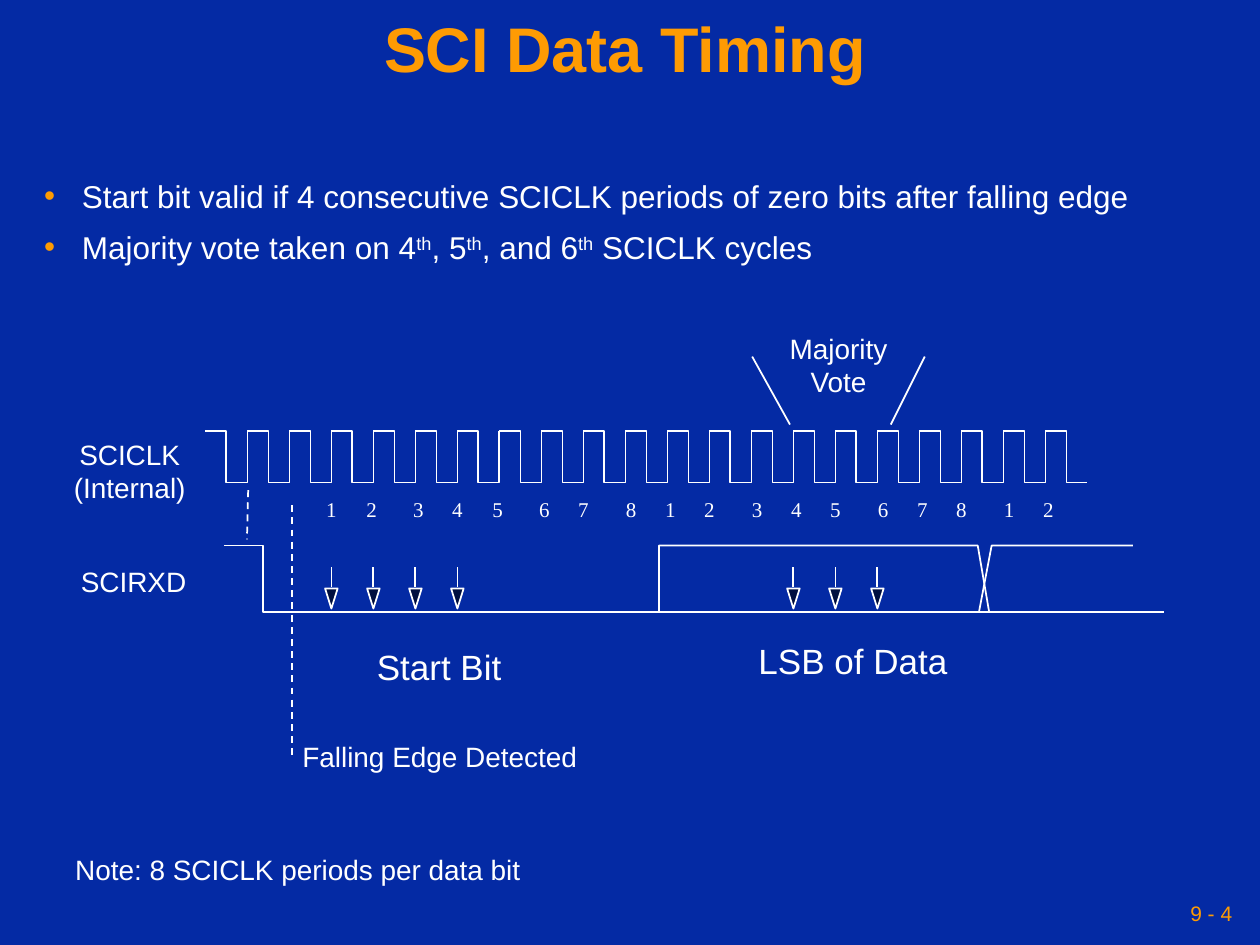
from dataclasses import dataclass

from lxml.etree import SubElement
from pptx import Presentation
from pptx.dml.color import RGBColor as RGB
from pptx.enum.dml import MSO_LINE_DASH_STYLE as Dash
from pptx.enum.shapes import MSO_CONNECTOR as Connector, MSO_SHAPE as Preset
from pptx.enum.text import MSO_ANCHOR as Anchor, MSO_AUTO_SIZE as AutoSize, PP_ALIGN as Align
from pptx.oxml.ns import qn
from pptx.util import Inches, Pt


@dataclass(frozen=True)
class Theme:
    background: RGB = RGB(0x04, 0x2A, 0xA4)
    accent: RGB = RGB(0xFE, 0x9B, 0x03)
    ink: RGB = RGB(0xFF, 0xFF, 0xFF)
    arrowhead: RGB = RGB(0x00, 0x0F, 0x40)
    font: str = "Arial"
    tick_font: str = "Times New Roman"
    title: Pt = Pt(36)
    caption: Pt = Pt(20)
    body: Pt = Pt(18)
    label: Pt = Pt(16)
    small: Pt = Pt(12)
    stroke: Pt = Pt(1)


theme = Theme()
presentation = Presentation()
presentation.slide_width, presentation.slide_height = Inches(10), Inches(7.5)
COLUMN = presentation.slide_width / 100
ROW = presentation.slide_height / 75
PERIOD = 10 / 3

slide = presentation.slides.add_slide(presentation.slide_layouts[1])
slide.background.fill.solid()
slide.background.fill.fore_color.rgb = theme.background


def add_label(text, left, top, width, height, size, color=theme.ink, font=theme.font, align=Align.CENTER):
    shape = slide.shapes.add_textbox(
        int(left * COLUMN), int(top * ROW), int(width * COLUMN), int(height * ROW))
    frame = shape.text_frame
    frame.word_wrap = align != Align.CENTER
    if align != Align.LEFT:
        frame.margin_left = frame.margin_right = Inches(0.05)
    frame.text = text
    for paragraph in frame.paragraphs:
        paragraph.alignment = align
        paragraph.font.size, paragraph.font.name = size, font
        paragraph.font.color.rgb = color
    return shape


def trace(*points):
    corners = [(int(x * COLUMN), int(y * ROW)) for x, y in points]
    builder = slide.shapes.build_freeform(*corners[0])
    builder.add_line_segments(corners[1:], close=False)
    shape = builder.convert_to_shape()
    shape.fill.background()
    shape.line.color.rgb, shape.line.width = theme.ink, theme.stroke
    shape.shadow.inherit = False


title = slide.shapes.title
title.left, title.top = 0, 0
title.width, title.height = int(99.2 * COLUMN), int(8.3 * ROW)
title.text_frame.text = "SCI Data Timing"
title.text_frame.auto_size = AutoSize.NONE
title.text_frame.vertical_anchor = Anchor.MIDDLE
heading = title.text_frame.paragraphs[0]
heading.alignment, heading.line_spacing = Align.CENTER, 0.9
heading.font.size, heading.font.name, heading.font.bold = theme.title, theme.font, True
heading.font.color.rgb = theme.accent

body = slide.placeholders[1]
body.left, body.top = int(2.5 * COLUMN), int(12.5 * ROW)
body.width, body.height = int(95.8 * COLUMN), int(9.1 * ROW)
body.text_frame.auto_size = AutoSize.NONE
bullets = [
    ["Start bit valid if 4 consecutive SCICLK periods of zero bits after falling edge"],
    ["Majority vote taken on 4", "th", ", 5", "th", ", and 6", "th", " SCICLK cycles"],
]
for index, pieces in enumerate(bullets):
    paragraph = body.text_frame.paragraphs[0] if index == 0 else body.text_frame.add_paragraph()
    properties = paragraph._p.get_or_add_pPr()
    properties.set("marL", str(int(3 * COLUMN)))
    properties.set("indent", str(int(-3 * COLUMN)))
    bullet_color = SubElement(properties, qn("a:buClr"))
    SubElement(bullet_color, qn("a:srgbClr")).set("val", str(theme.accent))
    SubElement(properties, qn("a:buChar")).set("char", "•")
    paragraph.line_spacing, paragraph.space_before = 1.35, Pt(0)
    for piece in pieces:
        run = paragraph.add_run()
        run.text = piece
        run.font.size, run.font.name = theme.body, theme.font
        run.font.color.rgb = theme.ink
        if piece == "th":
            run._r.get_or_add_rPr().set("baseline", "30000")

CLOCK_LEFT, CLOCK_HIGH, CLOCK_LOW, PERIODS = 16.3, 34.2, 38.3, 21
for index in range(PERIODS):
    start = CLOCK_LEFT + index * PERIOD
    middle, end = start + PERIOD / 2, start + PERIOD
    rise = [(end, CLOCK_HIGH)] if index < PERIODS - 1 else []
    trace((start, CLOCK_HIGH), (middle, CLOCK_HIGH), (middle, CLOCK_LOW), (end, CLOCK_LOW), *rise)

DATA_HIGH, DATA_LOW = 43.3, 48.55
trace((17.8, DATA_HIGH), (20.9, DATA_HIGH), (20.9, DATA_LOW), (92.4, DATA_LOW))
trace((52.3, DATA_LOW), (52.3, DATA_HIGH), (77.6, DATA_HIGH), (78.5, DATA_LOW))
trace((77.7, DATA_LOW), (78.7, DATA_HIGH), (89.9, DATA_HIGH))

lines = [
    (19.7, 38.9, 19.6, 42.8, True),
    (23.2, 40.1, 23.2, 59.9, True),
    (62.7, 33.7, 59.7, 28.3, False),
    (70.7, 33.7, 73.4, 28.3, False),
]
for cycle in (0, 1, 2, 3, 11, 12, 13):
    center = 26.3 + cycle * PERIOD
    head = slide.shapes.add_shape(
        Preset.ISOSCELES_TRIANGLE, int((center - 0.5) * COLUMN), int(46.7 * ROW),
        int(COLUMN), int(1.6 * ROW))
    head.rotation = 180
    head.shadow.inherit = False
    head.fill.solid()
    head.fill.fore_color.rgb = theme.arrowhead
    head.line.color.rgb, head.line.width = theme.ink, theme.stroke
    lines.append((center, 45, center, 46.6, False))

for x1, y1, x2, y2, dashed in lines:
    line = slide.shapes.add_connector(
        Connector.STRAIGHT, int(x1 * COLUMN), int(y1 * ROW), int(x2 * COLUMN), int(y2 * ROW))
    line.line.color.rgb, line.line.width = theme.ink, theme.stroke
    if dashed:
        line.line.dash_style = Dash.DASH
    SubElement(line._element.spPr, qn("a:effectLst"))

for text, left, top, width, height, size in [
    ("Start Bit", 28.9, 50.7, 11.9, 4.3, theme.caption),
    ("LSB of Data", 57.7, 50.3, 20, 4.3, theme.caption),
    ("Majority\nVote", 61.7, 25.8, 9.7, 6.3, theme.label),
    ("Falling Edge Detected", 23, 58.2, 23.8, 3.6, theme.label),
    ("SCIRXD", 4.7, 44.3, 11.8, 3.6, theme.label),
    ("SCICLK\n(Internal)", 4.3, 34.2, 12, 6.3, theme.label),
    ("Note: 8 SCICLK periods per data bit", 5, 67.2, 37.3, 3.6, theme.label),
]:
    add_label(text, left, top, width, height, size)

cycles = [str(index % 8 + 1) for index in range(18)]
ticks = add_label("\t".join(cycles), 24.9, 38.9, 61, 3, theme.small,
                  font=theme.tick_font, align=Align.LEFT)
tab_list = SubElement(ticks.text_frame.paragraphs[0]._p.pPr, qn("a:tabLst"))
for index in range(1, len(cycles)):
    offset = (0, 3.2 if index < 6 else 3.8, 6.9)[index % 3]
    tab = SubElement(tab_list, qn("a:tab"))
    tab.set("pos", str(int((index // 3 * 10 + offset) * COLUMN)))
    tab.set("algn", "l")
tab_list.getparent().insert(0, tab_list)

page_number = add_label("9 - 4", 68.3, 70.8, 30, 3.3, theme.small, theme.accent, align=Align.RIGHT)
page_number.text_frame.vertical_anchor = Anchor.MIDDLE

presentation.save("out.pptx")
